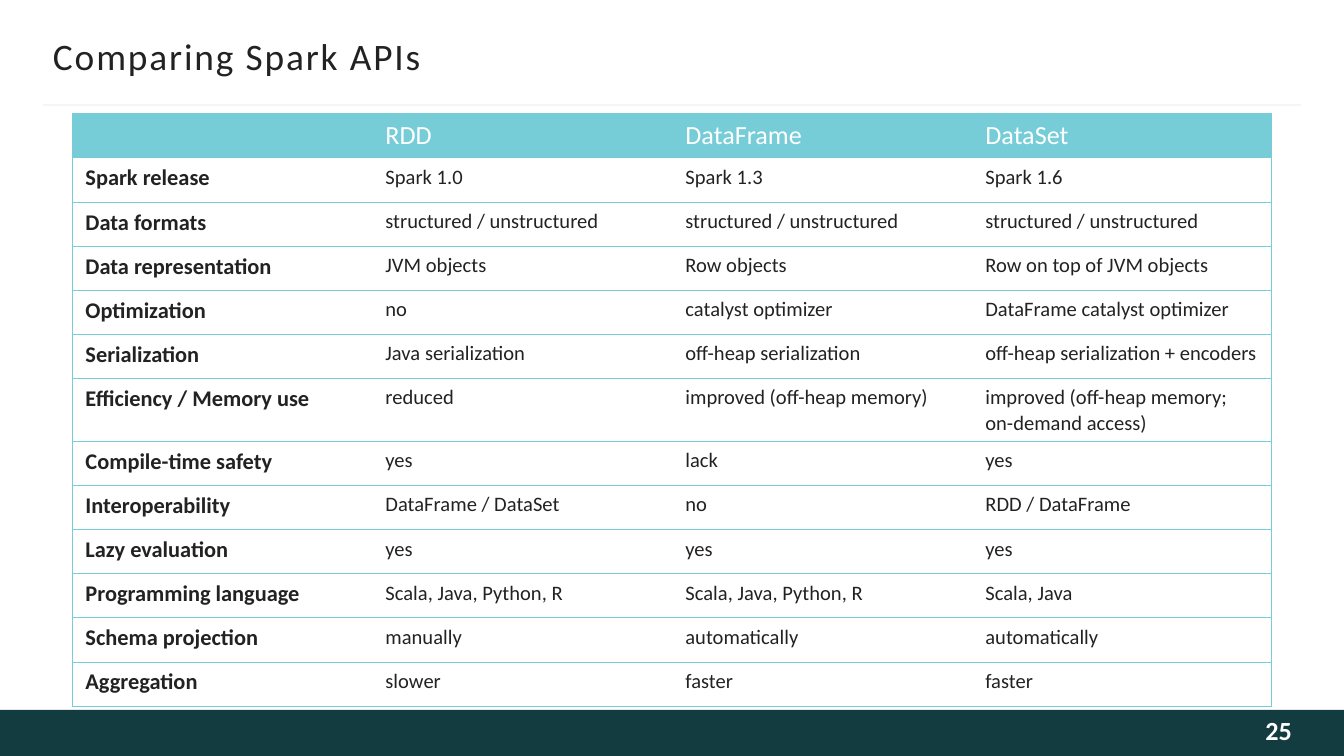
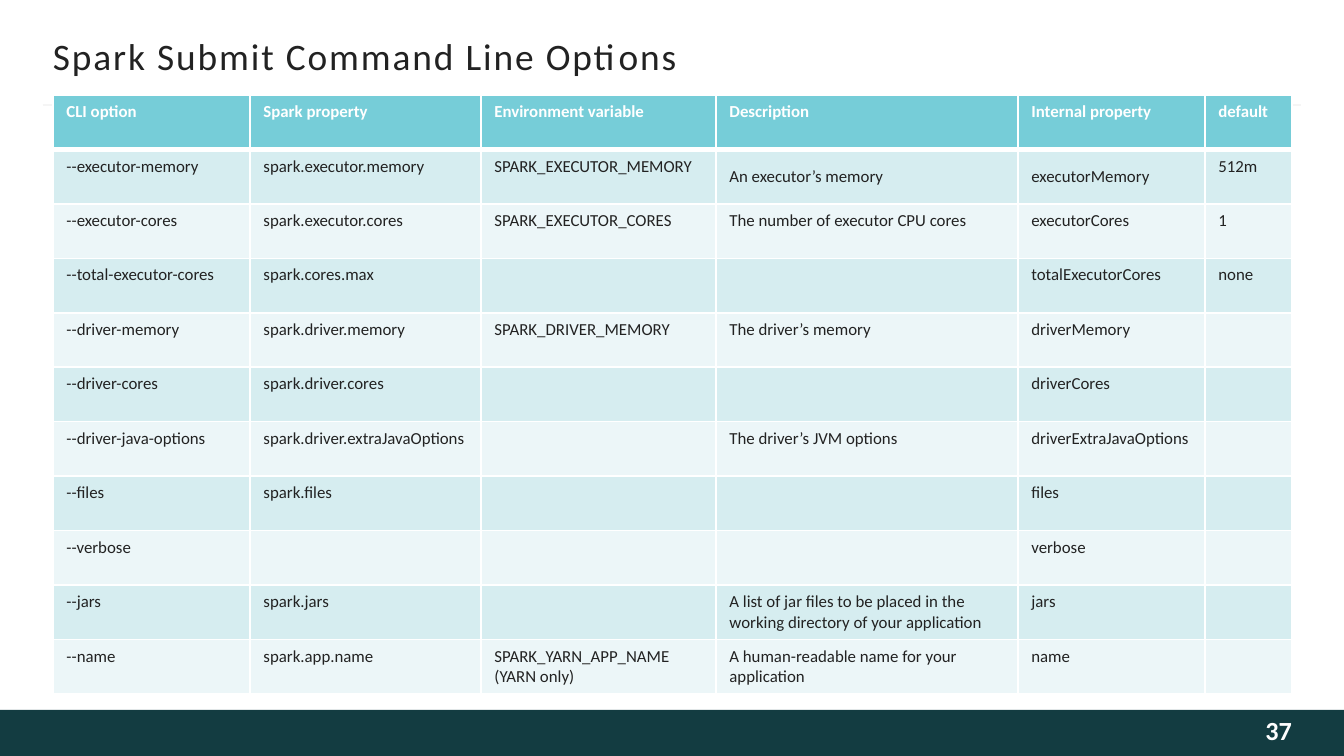
import lxml.etree
import pptx
import pptx.dml.color
import pptx.enum.shapes
import pptx.enum.text
import pptx.oxml.ns
import pptx.util

EMU_PER_PX = 914400 / 134.4
SLIDE_WIDTH, SLIDE_HEIGHT = 1344, 756
FONT = "Calibri"
INK, WHITE, PAGE_INK = "222222", "FFFFFF", "FEFEFE"
AQUA, FOOTER_TEAL, RULE_GRAY = "76CDD8", "133C41", "F5F5F5"
BANDS = ("D6EDF0", "ECF6F8")
MIDDLE = pptx.enum.text.MSO_ANCHOR.MIDDLE

API_TITLE, API_PAGE = "Comparing Spark APIs", "25"
API_ROWS = [
    ("", "RDD", "DataFrame", "DataSet"),
    ("Spark release", "Spark 1.0", "Spark 1.3", "Spark 1.6"),
    ("Data formats",) + ("structured / unstructured",) * 3,
    ("Data representation", "JVM objects", "Row objects", "Row on top of JVM objects"),
    ("Optimization", "no", "catalyst optimizer", "DataFrame catalyst optimizer"),
    ("Serialization", "Java serialization", "off-heap serialization", "off-heap serialization + encoders"),
    ("Efficiency / Memory use", "reduced", "improved (off-heap memory)",
     "improved (off-heap memory; on-demand access)"),
    ("Compile-time safety", "yes", "lack", "yes"),
    ("Interoperability", "DataFrame / DataSet", "no", "RDD / DataFrame"),
    ("Lazy evaluation", "yes", "yes", "yes"),
    ("Programming language", "Scala, Java, Python, R", "Scala, Java, Python, R", "Scala, Java"),
    ("Schema projection", "manually", "automatically", "automatically"),
    ("Aggregation", "slower", "faster", "faster"),
]
API_WIDTHS = [300] * 4

OPTION_TITLE, OPTION_PAGE = "Spark Submit Command Line Options", "37"
OPTION_ROWS = [
    ("CLI option", "Spark property", "Environment variable", "Description", "Internal property", "default"),
    ("--executor-memory", "spark.executor.memory", "SPARK_EXECUTOR_MEMORY",
     "An executor’s memory", "executorMemory", "512m"),
    ("--executor-cores", "spark.executor.cores", "SPARK_EXECUTOR_CORES",
     "The number of executor CPU cores", "executorCores", "1"),
    ("--total-executor-cores", "spark.cores.max", "", "", "totalExecutorCores", "none"),
    ("--driver-memory", "spark.driver.memory", "SPARK_DRIVER_MEMORY",
     "The driver’s memory", "driverMemory", ""),
    ("--driver-cores", "spark.driver.cores", "", "", "driverCores", ""),
    ("--driver-java-options", "spark.driver.extraJavaOptions", "",
     "The driver’s JVM options", "driverExtraJavaOptions", ""),
    ("--files", "spark.files", "", "", "files", ""),
    ("--verbose", "", "", "", "verbose", ""),
    ("--jars", "spark.jars", "",
     "A list of jar files to be placed in the working directory of your application", "jars", ""),
    ("--name", "spark.app.name", "SPARK_YARN_APP_NAME (YARN only)",
     "A human-readable name for your application", "name", ""),
]
OPTION_WIDTHS = [197, 231, 235, 302, 187, 87]
CENTERED_OPTION_CELLS = {(1, 3), (1, 4)}


def px(length):
    return pptx.util.Emu(round(length * EMU_PER_PX))


def rgb(color):
    return pptx.dml.color.RGBColor.from_string(color)


def add_element(parent, tag, **attributes):
    return lxml.etree.SubElement(parent, pptx.oxml.ns.qn(tag), **attributes)


def style_paragraph(paragraph, size, color, bold=False):
    for run in paragraph.runs:
        run.font.name = FONT
        run.font.size = pptx.util.Pt(size)
        run.font.bold = bold
        run.font.color.rgb = rgb(color)
    if not paragraph.runs:
        add_element(paragraph._p, "a:endParaRPr", sz=str(size * 100))


def add_text(slide, text, box, insets, size, color, bold=False):
    frame = slide.shapes.add_textbox(*map(px, box)).text_frame
    frame.word_wrap = True
    frame.vertical_anchor = MIDDLE
    frame.margin_left, frame.margin_top, frame.margin_right, frame.margin_bottom = map(px, insets)
    frame.text = text
    style_paragraph(frame.paragraphs[0], size, color, bold)
    return frame.paragraphs[0]


def add_slide(presentation, title, page):
    slide = presentation.slides.add_slide(presentation.slide_layouts[6])
    footer = slide.shapes.add_shape(
        pptx.enum.shapes.MSO_SHAPE.RECTANGLE, *map(px, (0, 710, SLIDE_WIDTH, 46)))
    footer.shadow.inherit = False
    footer.fill.solid()
    footer.fill.fore_color.rgb = rgb(FOOTER_TEAL)
    footer.line.fill.background()

    rule = slide.shapes.add_connector(
        pptx.enum.shapes.MSO_CONNECTOR.STRAIGHT, *map(px, (43, 105, 1301, 105)))
    rule.line.color.rgb = rgb(RULE_GRAY)
    rule.line.width = pptx.util.Pt(1.5)
    add_element(rule._element.spPr, "a:effectLst")

    heading = add_text(slide, title, (53, 34, 1239, 44), (0, 7, 0, 7), 20, INK)
    heading.runs[0].font._element.set("spc", "100")
    number = add_text(slide, page, (1090, 710, 202, 46), (13, 7, 0, 12), 14, PAGE_INK, True)
    number.alignment = pptx.enum.text.PP_ALIGN.RIGHT
    return slide


def set_borders(cell, borders):
    properties = cell._tc.get_or_add_tcPr()
    for side, (color, width) in zip("LRTB", borders):
        line = add_element(properties, f"a:ln{side}", w=str(pptx.util.Pt(width)))
        if color:
            fill = add_element(line, "a:solidFill")
            add_element(fill, "a:srgbClr", val=color)
        else:
            add_element(line, "a:noFill")


def add_table(slide, rows, widths, left, top, height, style_cell):
    table = slide.shapes.add_table(
        len(rows), len(widths), *map(px, (left, top, sum(widths), height))).table
    table.first_row = table.horz_banding = False
    for column, width in zip(table.columns, widths):
        column.width = px(width)
    for row_index, values in enumerate(rows):
        table.rows[row_index].height = px(height / len(rows))
        for column_index, value in enumerate(values):
            cell = table.cell(row_index, column_index)
            cell.text_frame.text = value
            style_cell(cell, row_index, column_index)


def style_api_cell(cell, row, column):
    edge, none = (AQUA, 0.5), (None, 0)
    last = len(API_WIDTHS) - 1
    set_borders(cell, (edge if column == 0 else none, edge if column == last else none, edge, edge))
    if row == 0:
        cell.fill.solid()
        cell.fill.fore_color.rgb = rgb(AQUA)
        size, color = 14, WHITE
    else:
        cell.fill.background()
        size, color = 12 if column == 0 else 11, INK
    style_paragraph(cell.text_frame.paragraphs[0], size, color, row > 0 and column == 0)


def style_option_cell(cell, row, column):
    thin, thick = (WHITE, 1), (WHITE, 3)
    header = row == 0
    set_borders(cell, (thin, thin, thick if row == 1 else thin, thick if header else thin))
    cell.fill.solid()
    cell.fill.fore_color.rgb = rgb(AQUA if header else BANDS[(row - 1) % 2])
    if (row, column) in CENTERED_OPTION_CELLS:
        cell.vertical_anchor = MIDDLE
    style_paragraph(cell.text_frame.paragraphs[0], 9, WHITE if header else INK, header)


def main():
    presentation = pptx.Presentation()
    presentation.slide_width, presentation.slide_height = px(SLIDE_WIDTH), px(SLIDE_HEIGHT)
    slide = add_slide(presentation, API_TITLE, API_PAGE)
    add_table(slide, API_ROWS, API_WIDTHS, 72, 113, 574, style_api_cell)
    slide = add_slide(presentation, OPTION_TITLE, OPTION_PAGE)
    add_table(slide, OPTION_ROWS, OPTION_WIDTHS, 53, 95, 599, style_option_cell)
    presentation.save("out.pptx")


if __name__ == "__main__":
    main()
